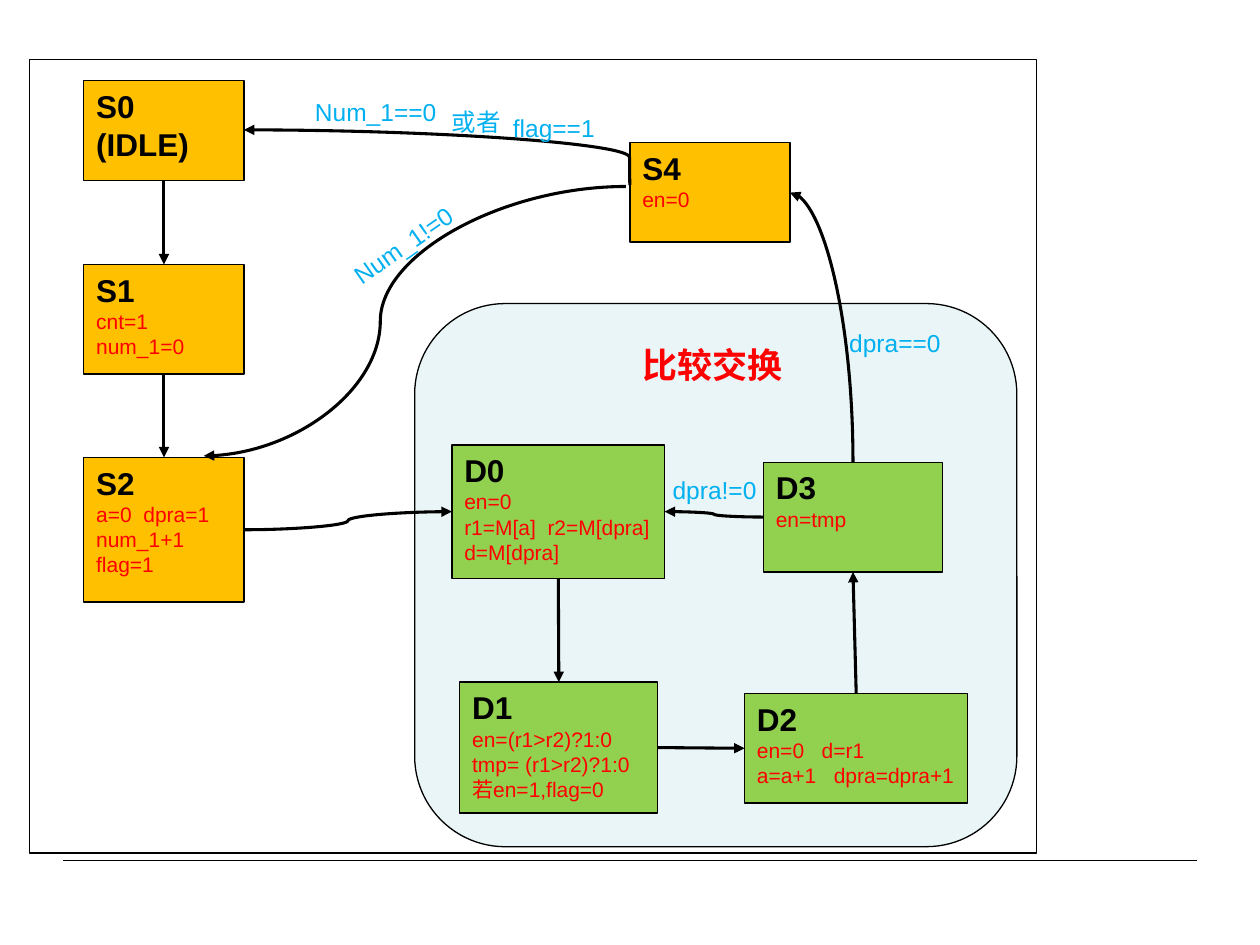
"""Builds the state machine slide with its compare-and-swap region."""
from lxml import etree
from pptx import Presentation
from pptx.dml.color import RGBColor
from pptx.enum import shapes as sh, text as t
from pptx.oxml.ns import qn
from pptx.util import Cm, Pt

THEME = dict(font="Arial", ink="000000", state="FFC000", step="92D050",
             region="BBE0E3", action="FF0000", label="00B0F0",
             head=18, body=12, note=14, title=20, thin=0.75, arrow=1.75)

TITLE = ("比较交换", 12.95, 6.91, 2.84, 0.86)
REGION = (8.36, 6.12, 12.14, 10.95)
FRAME = (0.6, 1.2, 20.29, 16)
RULE = (1.27, 17.35, 24.13, 17.35)
NODES = {
    "S0": ("state", (1.69, 1.63, 3.23, 2.01), ["S0", "(IDLE)"], []),
    "S1": ("state", (1.69, 5.33, 3.23, 2.21), ["S1"], ["cnt=1", "num_1=0"]),
    "S4": ("state", (12.7, 2.87, 3.23, 2.01), ["S4"], ["en=0"]),
    "S2": ("state", (1.69, 9.22, 3.23, 2.92), ["S2"],
           ["a=0  dpra=1", "num_1+1", "flag=1"]),
    "D0": ("step", (9.11, 8.97, 4.29, 2.69), ["D0"],
           ["en=0", "r1=M[a]  r2=M[dpra]", "d=M[dpra]"]),
    "D1": ("step", (9.27, 13.75, 3.99, 2.64), ["D1"],
           ["en=(r1>r2)?1:0", "tmp= (r1>r2)?1:0", "若en=1,flag=0"]),
    "D2": ("step", (15.01, 13.98, 4.5, 2.21), ["D2"],
           ["en=0   d=r1", "a=a+1   dpra=dpra+1"]),
    "D3": ("step", (15.39, 9.32, 3.61, 2.21), ["D3"], ["en=tmp"]),
}
TOP, LEFT, BOTTOM, RIGHT = range(4)
STRAIGHT, CURVE = sh.MSO_CONNECTOR.STRAIGHT, sh.MSO_CONNECTOR.CURVE
LINKS = [
    (STRAIGHT, "S0", BOTTOM, "S1", TOP),
    (STRAIGHT, "S1", BOTTOM, "S2", TOP),
    (CURVE, "S2", RIGHT, "D0", LEFT),
    (STRAIGHT, "D0", BOTTOM, "D1", TOP),
    (STRAIGHT, "D1", RIGHT, "D2", LEFT),
    (STRAIGHT, "D2", TOP, "D3", BOTTOM),
    (CURVE, "D3", LEFT, "D0", RIGHT),
]
RETURNS = [
    ((12.62, 3.76, 4.11, 9.19), 58200),
    ((12.7, 3.73, 4.92, 2.62), 100),
]
BEND = (13.84, 5.97, 5.44, 1.27)
LABELS = [
    ("Num_1==0", 6.35, 1.95, 2.5, 0),
    ("Num_1!=0", 6.97, 4.62, 2.35, 325),
    ("dpra==0", 17.12, 6.6, 1.9, 0),
    ("dpra!=0", 13.56, 9.57, 1.75, 0),
    ("或者", 9.11, 2.15, 1.05, 0),
    ("flag==1", 10.34, 2.26, 1.75, 0),
]


def cm(values):
    return [Cm(v) for v in values]


def rgb(name):
    return RGBColor.from_string(THEME[name])


def write(tf, text, size="note", color="label", bold=False, first=True):
    p = tf.paragraphs[0] if first else tf.add_paragraph()
    p.alignment = t.PP_ALIGN.LEFT
    r = p.add_run()
    r.text = text
    r.font.name, r.font.size, r.font.bold = THEME["font"], Pt(THEME[size]), bold
    r.font.color.rgb = rgb(color)


def tighten(tf):
    tf.margin_left = tf.margin_top = tf.margin_right = tf.margin_bottom = 0
    tf.word_wrap = False
    tf.vertical_anchor = t.MSO_ANCHOR.MIDDLE
    tf.auto_size = t.MSO_AUTO_SIZE.SHAPE_TO_FIT_TEXT


def box(kind, at, fill=None):
    sp = s.shapes.add_shape(kind, *cm(at))
    sp.shadow.inherit = False
    sp.line.color.rgb, sp.line.width = rgb("ink"), Pt(THEME["thin"])
    if fill:
        sp.fill.solid()
        sp.fill.fore_color.rgb = rgb(fill)
    else:
        sp.fill.background()
    return sp


def link(kind, ends=(0, 0, 0, 0), width="arrow", head=True):
    c = s.shapes.add_connector(kind, *cm(ends))
    c.line.color.rgb, c.line.width = rgb("ink"), Pt(THEME[width])
    if head:
        etree.SubElement(c.line._get_or_add_ln(), qn("a:tailEnd"), type="triangle")
    etree.SubElement(c.element.spPr, qn("a:effectLst"))
    return c


def glue(c, start, start_site, end, end_site):
    c.begin_connect(nodes[start], start_site)
    c.end_connect(nodes[end], end_site)


prs = Presentation()
prs.slide_width, prs.slide_height = Cm(25.4), Cm(19.05)
s = prs.slides.add_slide(prs.slide_layouts[5])

link(STRAIGHT, RULE, width="thin", head=False)
region = box(sh.MSO_SHAPE.ROUNDED_RECTANGLE, REGION, "region")
tint = region.fill._xPr.find(qn("a:solidFill"))[0]
etree.SubElement(tint, qn("a:alpha"), val="31000")

nodes = {}
for name, (fill, at, heads, actions) in NODES.items():
    nodes[name] = sp = box(sh.MSO_SHAPE.RECTANGLE, at, fill)
    tf = sp.text_frame
    tf.word_wrap, tf.margin_right = True, 0
    tf.vertical_anchor = t.MSO_ANCHOR.TOP
    for i, line in enumerate(heads):
        write(tf, line, size="head", color="ink", bold=True, first=i == 0)
    for line in actions:
        write(tf, line, size="body", color="action", first=False)

for kind, *ends in LINKS:
    glue(link(kind), *ends)

for ends, bend in RETURNS:
    geom = link(CURVE, ends).element.spPr.find(qn("a:prstGeom"))
    etree.SubElement(geom.find(qn("a:avLst")), qn("a:gd"), name="adj1", fmla=f"val {bend}")

c = link(CURVE)
glue(c, "D3", TOP, "S4", RIGHT)
c.left, c.top, c.width, c.height = cm(BEND)
xfrm = c.element.spPr.find(qn("a:xfrm"))
xfrm.attrib.pop("flipH", None)
xfrm.set("flipV", "1")
xfrm.set("rot", str(270 * 60000))
c.element.spPr.find(qn("a:prstGeom")).set("prst", "curvedConnector2")

for text, x, y, w, angle in LABELS:
    sp = s.shapes.add_textbox(*cm((x, y, w, 0.61)))
    sp.rotation = angle
    tighten(sp.text_frame)
    write(sp.text_frame, text)

title = s.shapes.title
title.left, title.top, title.width, title.height = cm(TITLE[1:])
tighten(title.text_frame)
write(title.text_frame, TITLE[0], size="title", color="action", bold=True)
s.shapes.element.append(title.element)
box(sh.MSO_SHAPE.RECTANGLE, FRAME)

prs.save("out.pptx")
